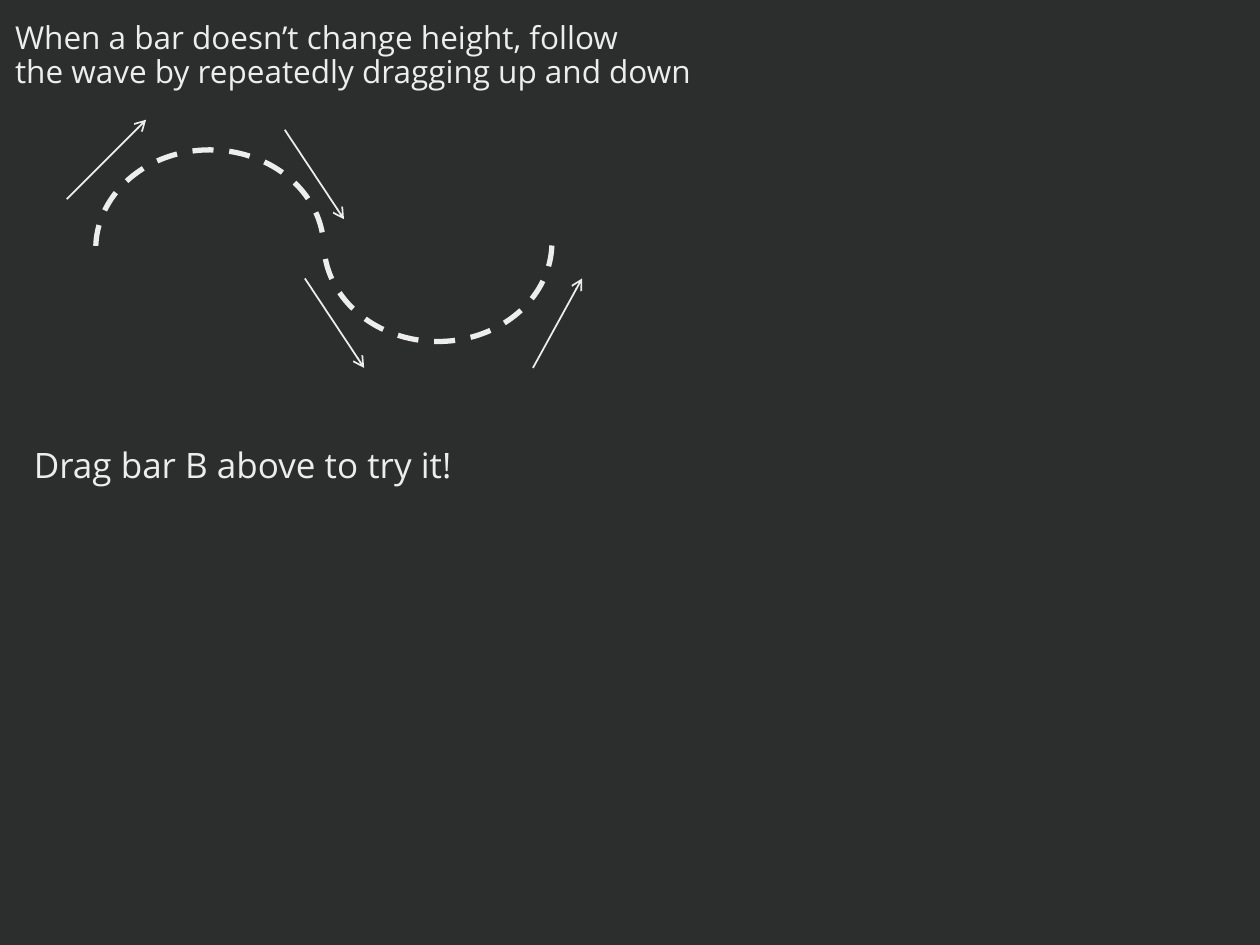
"""Builds a slide showing how to follow a wave by dragging up and down."""

import dataclasses
import typing

import lxml.etree
import pptx
import pptx.dml.color
import pptx.enum.dml
import pptx.enum.shapes
import pptx.enum.text
import pptx.oxml.ns
import pptx.util

COLORS = {"background": "2C2D2D", "foreground": "EDEDED"}
FONT_NAME = "Open Sans"
COLUMNS = 1000
CELL = pptx.util.Inches(10) // COLUMNS
ARC_ANGLES = (108.885, 215.335)
FRAME_FORMAT = {
    "word_wrap": True,
    "auto_size": pptx.enum.text.MSO_AUTO_SIZE.NONE,
    "vertical_anchor": pptx.enum.text.MSO_ANCHOR.TOP,
}
PARAGRAPH_FORMAT = {
    "alignment": pptx.enum.text.PP_ALIGN.LEFT,
    "line_spacing": 0.9,
    "space_before": pptx.util.Pt(0),
}


@dataclasses.dataclass(frozen=True)
class Area:
    column: int
    row: int
    columns: int
    rows: int

    def lengths(self) -> list[int]:
        return [CELL * value for value in dataclasses.astuple(self)]


@dataclasses.dataclass(frozen=True)
class WaveHalf:
    area: Area
    rotation: int


@dataclasses.dataclass(frozen=True)
class DragArrow:
    start_column: int
    start_row: int
    end_column: int
    end_row: int


TITLE_AREA = Area(2, 13, 617, 101)
PROMPT_AREA = Area(17, 351, 512, 44)
WAVE_HALVES = [
    WaveHalf(Area(76, 119, 181, 157), 0),
    WaveHalf(Area(257, 114, 181, 157), 180),
]
DRAG_ARROWS = [
    DragArrow(53, 158, 116, 95),
    DragArrow(226, 103, 273, 174),
    DragArrow(242, 221, 289, 292),
    DragArrow(423, 292, 462, 221),
]


def color(name: str) -> pptx.dml.color.RGBColor:
    return pptx.dml.color.RGBColor.from_string(COLORS[name])


def apply_format(target: typing.Any, values: dict[str, typing.Any]) -> None:
    for name, value in values.items():
        setattr(target, name, value)


def write_text(shape: typing.Any, lines: list[str], size: int) -> None:
    frame = shape.text_frame
    frame.text = "\n".join(lines)
    apply_format(frame, FRAME_FORMAT)
    for paragraph in frame.paragraphs:
        apply_format(paragraph, PARAGRAPH_FORMAT)
        for run in paragraph.runs:
            apply_format(run.font, {"name": FONT_NAME, "size": pptx.util.Pt(size)})
            run.font.color.rgb = color("foreground")


def draw_wave_half(slide: typing.Any, half: WaveHalf) -> None:
    shape = slide.shapes.add_shape(
        pptx.enum.shapes.MSO_SHAPE.ARC, *half.area.lengths()
    )
    for index, angle in enumerate(ARC_ANGLES):
        shape.adjustments[index] = angle
    shape.rotation = half.rotation
    shape.shadow.inherit = False
    shape.fill.background()
    shape.line.color.rgb = color("foreground")
    apply_format(
        shape.line,
        {
            "width": pptx.util.Pt(3),
            "dash_style": pptx.enum.dml.MSO_LINE.DASH,
        },
    )


def draw_arrow(slide: typing.Any, arrow: DragArrow) -> None:
    connector = slide.shapes.add_connector(
        pptx.enum.shapes.MSO_CONNECTOR.STRAIGHT,
        *[CELL * value for value in dataclasses.astuple(arrow)],
    )
    connector.line.color.rgb = color("foreground")
    connector.line.width = pptx.util.Pt(1)
    properties = connector.element.find(pptx.oxml.ns.qn("p:spPr"))
    outline = properties.find(pptx.oxml.ns.qn("a:ln"))
    lxml.etree.SubElement(outline, pptx.oxml.ns.qn("a:tailEnd"), type="arrow")
    lxml.etree.SubElement(properties, pptx.oxml.ns.qn("a:effectLst"))


def build() -> None:
    presentation = pptx.Presentation()
    presentation.slide_width = pptx.util.Inches(10)
    presentation.slide_height = pptx.util.Inches(7.5)
    slide = presentation.slides.add_slide(
        presentation.slide_layouts.get_by_name("Title Only")
    )
    slide.background.fill.solid()
    slide.background.fill.fore_color.rgb = color("background")

    title = slide.shapes.title
    apply_format(
        title, dict(zip(("left", "top", "width", "height"), TITLE_AREA.lengths()))
    )
    write_text(
        title,
        [
            "When a bar doesn’t change height, follow",
            "the wave by repeatedly dragging up and down",
        ],
        18,
    )
    for half in WAVE_HALVES:
        draw_wave_half(slide, half)
    for arrow in DRAG_ARROWS:
        draw_arrow(slide, arrow)
    prompt = slide.shapes.add_textbox(*PROMPT_AREA.lengths())
    write_text(prompt, ["Drag bar B above to try it!"], 20)
    presentation.save("out.pptx")


build()
